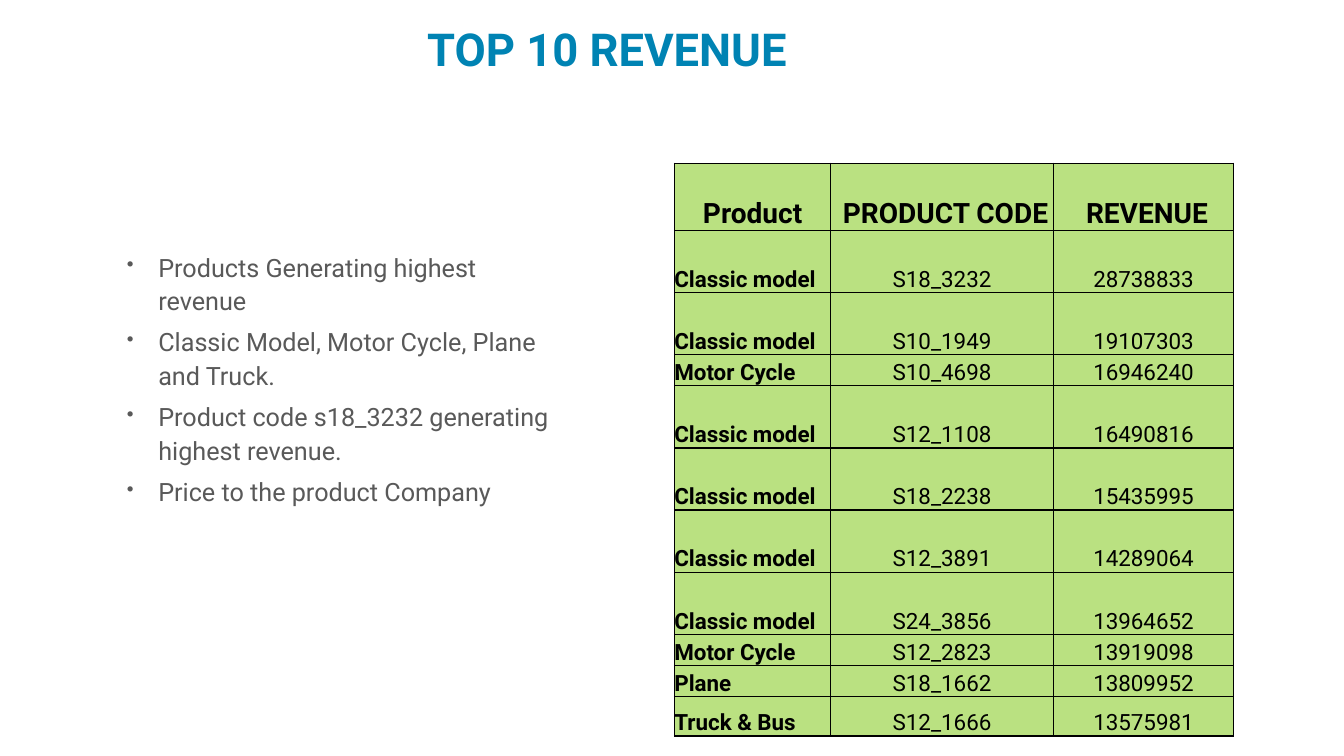
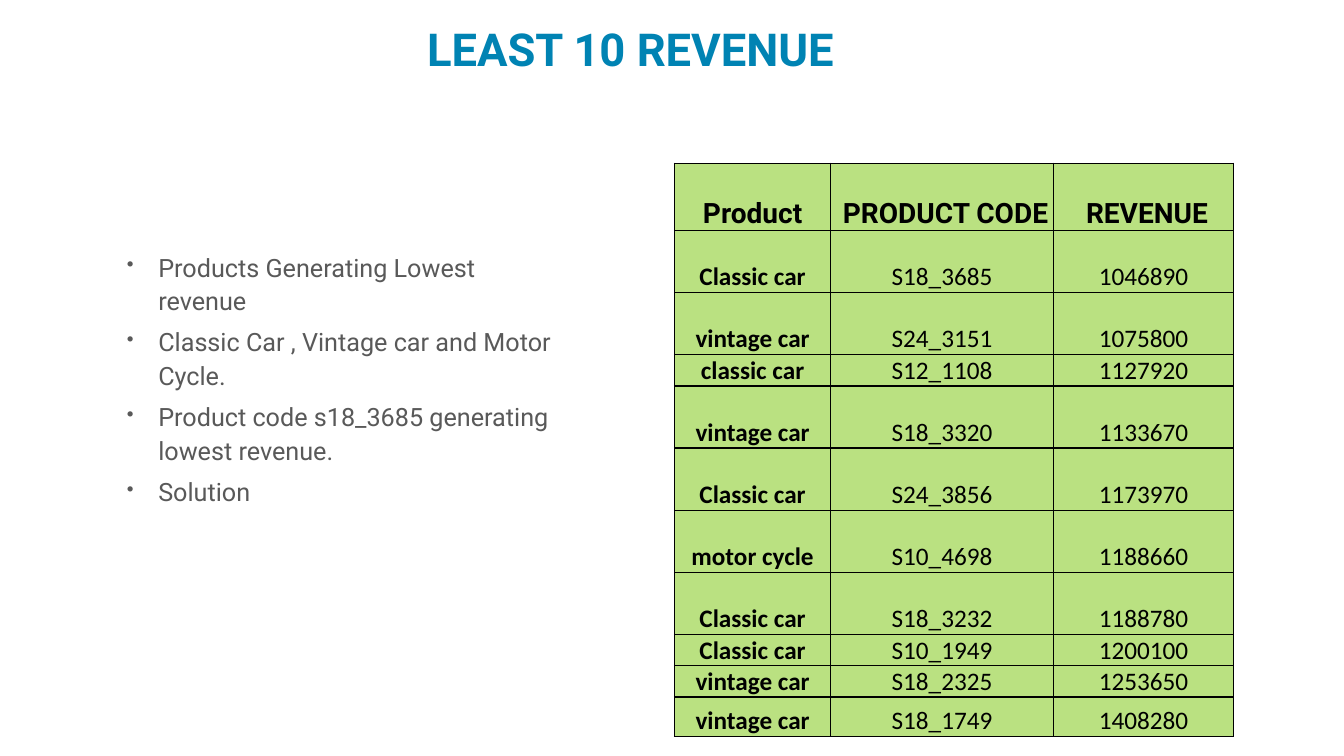
from dataclasses import dataclass

from lxml.etree import SubElement
from pptx import Presentation
from pptx.dml.color import RGBColor as Rgb
from pptx.enum.text import MSO_ANCHOR as Anchor, PP_ALIGN as Align
from pptx.oxml import parse_xml
from pptx.oxml.ns import nsdecls, qn
from pptx.util import Pt


@dataclass(frozen=True)
class Theme:
    title_color: str = "0083B3"
    body_color: str = "595959"
    table_color: str = "000000"
    cell_fill: str = "BAE181"
    font: str = "Roboto"
    title_size: float = 32.4
    body_size: float = 18
    header_size: float = 20
    border: float = 1


@dataclass(frozen=True)
class RowStyle:
    font: str
    size: float
    name_align: Align
    inset: float


THEME = Theme()

# Regions: left, top, width, height
TITLE_BOX = (298, 16.6, 324, 41)
BULLET_BOX = (83.5, 174.2, 324, 300)
TABLE_BOX = (481.7, 116.6, 399.6, 409.2)

# Table grid
TALL, SHORT = 44.4, 22.2
ROW_HEIGHTS = [48, TALL, TALL, SHORT, TALL, TALL, TALL, TALL, SHORT, SHORT, 28.2]
COLUMN_WIDTHS = [111.8, 158.8, 129]
HEADERS = ("Product", " PRODUCT CODE", " REVENUE")
HEADER_STYLE = RowStyle(THEME.font, THEME.header_size, Align.CENTER, 0)

PAGES = [
    {
        "title": "TOP 10 REVENUE",
        "bullets": [
            "Products Generating highest revenue",
            "Classic Model, Motor Cycle, Plane and Truck.",
            "Product code s18_3232 generating highest revenue.",
            "Price to the product Company",
        ],
        "style": RowStyle("Roboto", 16, Align.LEFT, 0),
        "rows": [
            ("Classic model", "S18_3232", "28738833"),
            ("Classic model", "S10_1949", "19107303"),
            ("Motor Cycle", "S10_4698", "16946240"),
            ("Classic model", "S12_1108", "16490816"),
            ("Classic model", "S18_2238", "15435995"),
            ("Classic model", "S12_3891", "14289064"),
            ("Classic model", "S24_3856", "13964652"),
            ("Motor Cycle", "S12_2823", "13919098"),
            ("Plane", "S18_1662", "13809952"),
            ("Truck & Bus", "S12_1666", "13575981"),
        ],
    },
    {
        "title": "LEAST 10 REVENUE",
        "bullets": [
            "Products Generating Lowest revenue",
            "Classic Car , Vintage car and Motor Cycle.",
            "Product code s18_3685 generating lowest revenue.",
            "Solution",
        ],
        "style": RowStyle("Calibri", 18, Align.CENTER, 0.7),
        "rows": [
            ("Classic car", "S18_3685", "1046890"),
            ("vintage car", "S24_3151", "1075800"),
            ("classic car", "S12_1108", "1127920"),
            ("vintage car", "S18_3320", "1133670"),
            ("Classic car", "S24_3856", "1173970"),
            ("motor cycle", "S10_4698", "1188660"),
            ("Classic car", "S18_3232", "1188780"),
            ("Classic car", "S10_1949", "1200100"),
            ("vintage car", "S18_2325", "1253650"),
            ("vintage car", "S18_1749", "1408280"),
        ],
    },
]


def add_span(para, text, font, size, color, bold=False):
    span = para.add_run()
    span.text = text
    span.font.name = font
    span.font.size = Pt(size)
    span.font.bold = bold
    span.font.color.rgb = Rgb.from_string(color)


def add_text_frame(page, box, anchor):
    frame = page.shapes.add_textbox(*map(Pt, box)).text_frame
    frame.word_wrap = True
    frame.vertical_anchor = anchor
    return frame


def add_title(page, box, text):
    para = add_text_frame(page, box, Anchor.BOTTOM).paragraphs[0]
    para.line_spacing = 0.8
    add_span(para, text, THEME.font, THEME.title_size, THEME.title_color, True)


def set_bullet(para, indent):
    props = para._p.get_or_add_pPr()
    props.set("marL", str(Pt(indent)))
    props.set("indent", str(-Pt(indent)))
    color = SubElement(props, qn("a:buClr"))
    SubElement(color, qn("a:srgbClr"), val=THEME.body_color)
    SubElement(props, qn("a:buSzPct"), val="80000")
    SubElement(props, qn("a:buChar"), char="•")


def add_bullets(page, box, lines):
    frame = add_text_frame(page, box, Anchor.TOP)
    for index, line in enumerate(lines):
        para = frame.add_paragraph() if index else frame.paragraphs[0]
        set_bullet(para, 22.5)
        para.line_spacing = 1.1
        para.space_before = Pt(6 if index else 0)
        add_span(para, line, THEME.font, THEME.body_size, THEME.body_color)


def set_borders(cell):
    props = cell._tc.get_or_add_tcPr()
    for index, side in enumerate(("lnL", "lnR", "lnT", "lnB")):
        props.insert(index, parse_xml(
            f'<a:{side} {nsdecls("a")} w="{Pt(THEME.border)}"><a:solidFill>'
            f'<a:srgbClr val="{THEME.table_color}"/></a:solidFill></a:{side}>'))


def fill_cell(cell, text, style, align, bold):
    cell.fill.solid()
    cell.fill.fore_color.rgb = Rgb.from_string(THEME.cell_fill)
    set_borders(cell)
    cell.vertical_anchor = Anchor.BOTTOM
    cell.margin_left = cell.margin_right = cell.margin_top = Pt(style.inset)
    cell.margin_bottom = 0
    para = cell.text_frame.paragraphs[0]
    para.alignment = align
    add_span(para, text, style.font, style.size, THEME.table_color, bold)


def add_revenue_table(page, box, rows, row_style):
    table = page.shapes.add_table(
        len(ROW_HEIGHTS), len(COLUMN_WIDTHS), *map(Pt, box)).table
    table.first_row = table.horz_banding = False
    for column, width in zip(table.columns, COLUMN_WIDTHS):
        column.width = Pt(width)
    for row, height in zip(table.rows, ROW_HEIGHTS):
        row.height = Pt(height)
    for r, values in enumerate([HEADERS, *rows]):
        style = row_style if r else HEADER_STYLE
        for c, text in enumerate(values):
            align = Align.CENTER if c else style.name_align
            fill_cell(table.cell(r, c), text, style, align, r == 0 or c == 0)


def add_revenue_page(deck, content):
    page = deck.slides.add_slide(deck.slide_layouts[6])
    add_title(page, TITLE_BOX, content["title"])
    add_revenue_table(page, TABLE_BOX, content["rows"], content["style"])
    add_bullets(page, BULLET_BOX, content["bullets"])


def main():
    deck = Presentation()
    deck.slide_width, deck.slide_height = Pt(960), Pt(540)
    for content in PAGES:
        add_revenue_page(deck, content)
    deck.save("out.pptx")


if __name__ == "__main__":
    main()
